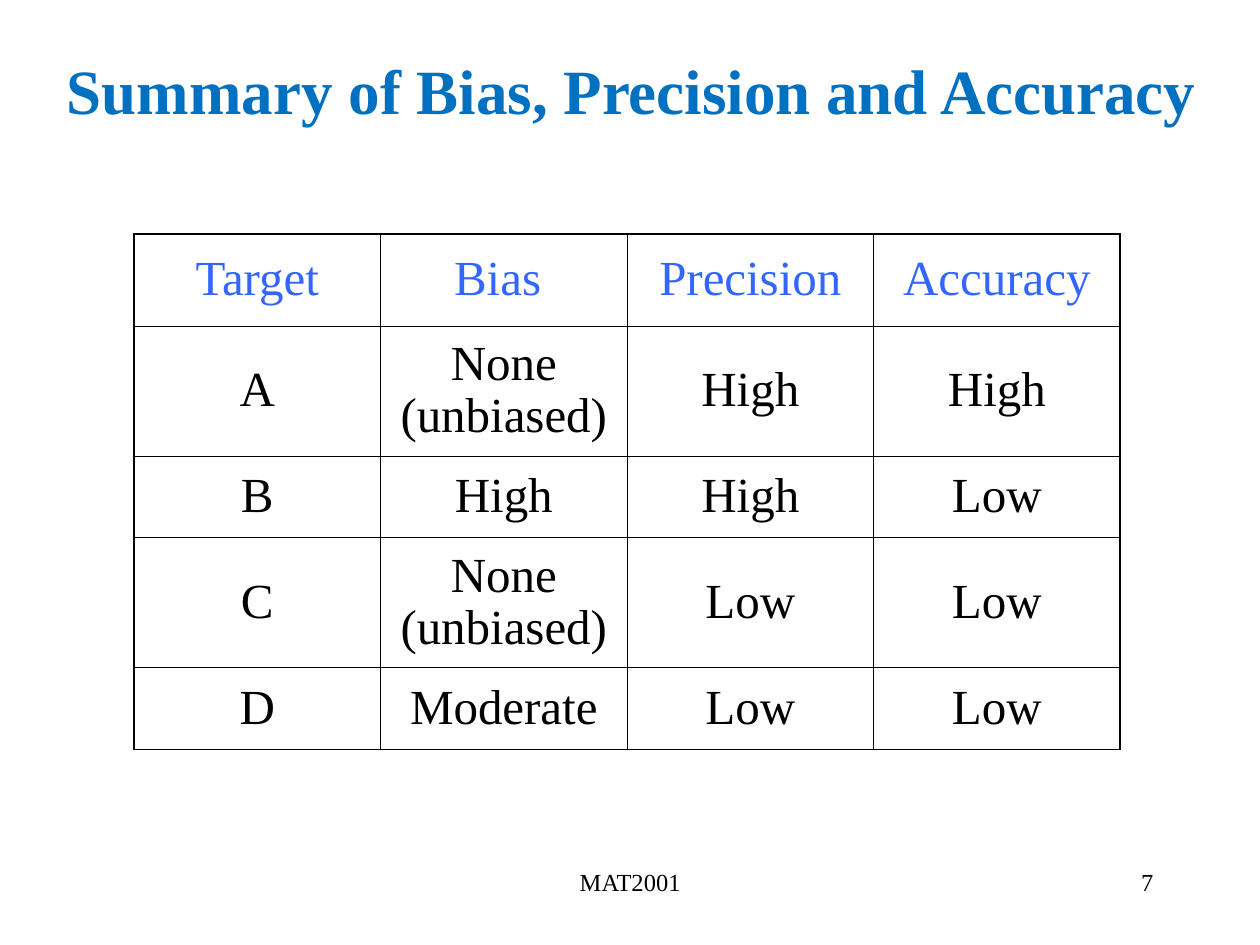
from dataclasses import dataclass

from lxml import etree
from pptx import Presentation
from pptx.dml.color import RGBColor
from pptx.enum.text import MSO_ANCHOR, PP_ALIGN
from pptx.oxml.ns import qn
from pptx.util import Cm, Pt

LEFT, CENTER, RIGHT = PP_ALIGN.LEFT, PP_ALIGN.CENTER, PP_ALIGN.RIGHT
TOP, MIDDLE = MSO_ANCHOR.TOP, MSO_ANCHOR.MIDDLE
BLANK_LAYOUT = 6


@dataclass(frozen=True)
class Theme:
    font: str = "Times New Roman"
    title_color: str = "0070C0"
    header_color: str = "3366FF"
    ink: str = "000000"
    title_size: int = 36
    table_size: int = 28
    footer_size: int = 14
    outer_line: float = 1.08
    inner_line: float = 0.45


THEME = Theme()

SUMMARY = [
    ("Target", "Bias ", "Precision", "Accuracy"),
    ("A", "None (unbiased)", "High", "High"),
    ("B", "High", "High", "Low"),
    ("C", "None (unbiased)", "Low", "Low"),
    ("D", "Moderate", "Low", "Low"),
]
COLUMN_WIDTH = 4.97
ROW_HEIGHTS = (1.85, 2.62, 1.65, 2.62, 1.65)


def write_text(frame, text, *, size, color=THEME.ink, bold=False,
               align=LEFT, line_spacing=None):
    """Put one formatted paragraph into a text frame."""
    frame.word_wrap = True
    paragraph = frame.paragraphs[0]
    paragraph.alignment = align
    paragraph.line_spacing = line_spacing
    run = paragraph.add_run()
    run.text = text
    run.font.name = THEME.font
    run.font.size = Pt(size)
    run.font.bold = bold
    run.font.color.rgb = RGBColor.from_string(color)


def add_label(slide, text, left, top, width, height, anchor=TOP, **text_format):
    label = slide.shapes.add_textbox(Cm(left), Cm(top), Cm(width), Cm(height))
    label.text_frame.vertical_anchor = anchor
    write_text(label.text_frame, text, **text_format)


def draw_borders(cell, outer_sides):
    """Rule all four sides, heavier where the cell meets the table edge."""
    properties = cell._tc.get_or_add_tcPr()
    for side in "LRTB":
        weight = THEME.outer_line if side in outer_sides else THEME.inner_line
        line = etree.SubElement(properties, qn(f"a:ln{side}"), w=str(Pt(weight)))
        fill = etree.SubElement(line, qn("a:solidFill"))
        etree.SubElement(fill, qn("a:srgbClr"), val=THEME.ink)


def add_summary_table(slide, left, top):
    row_count, column_count = len(SUMMARY), len(SUMMARY[0])
    summary = slide.shapes.add_table(
        row_count, column_count, Cm(left), Cm(top),
        Cm(COLUMN_WIDTH * column_count), Cm(sum(ROW_HEIGHTS))).table
    summary.first_row = summary.horz_banding = False
    for column in summary.columns:
        column.width = Cm(COLUMN_WIDTH)

    for r, (height, entries) in enumerate(zip(ROW_HEIGHTS, SUMMARY)):
        summary.rows[r].height = Cm(height)
        for c, entry in enumerate(entries):
            cell = summary.cell(r, c)
            cell.vertical_anchor = MIDDLE
            at_edge = {"L": c == 0, "R": c == column_count - 1,
                       "T": r == 0, "B": r == row_count - 1}
            draw_borders(cell, [side for side, edge in at_edge.items() if edge])
            cell.fill.background()
            write_text(cell.text_frame, entry, size=THEME.table_size,
                       color=THEME.ink if r else THEME.header_color,
                       align=CENTER, line_spacing=0.96)


def main():
    presentation = Presentation()
    presentation.slide_width, presentation.slide_height = Cm(25.4), Cm(19.05)
    slide = presentation.slides.add_slide(presentation.slide_layouts[BLANK_LAYOUT])

    # Title
    add_label(slide, "Summary of Bias, Precision and Accuracy",
              1.1, 0.53, 23.93, 2.54, anchor=MIDDLE,
              size=THEME.title_size, color=THEME.title_color, bold=True)

    # Comparison of the four targets
    add_summary_table(slide, 2.7, 4.72)

    # Footer: course code and page number
    add_label(slide, "MAT2001", 8.68, 17.35, 8.05, 1.27,
              size=THEME.footer_size, align=CENTER)
    add_label(slide, "7", 18.2, 17.35, 5.3, 1.27,
              size=THEME.footer_size, align=RIGHT)

    presentation.save("out.pptx")


if __name__ == "__main__":
    main()
